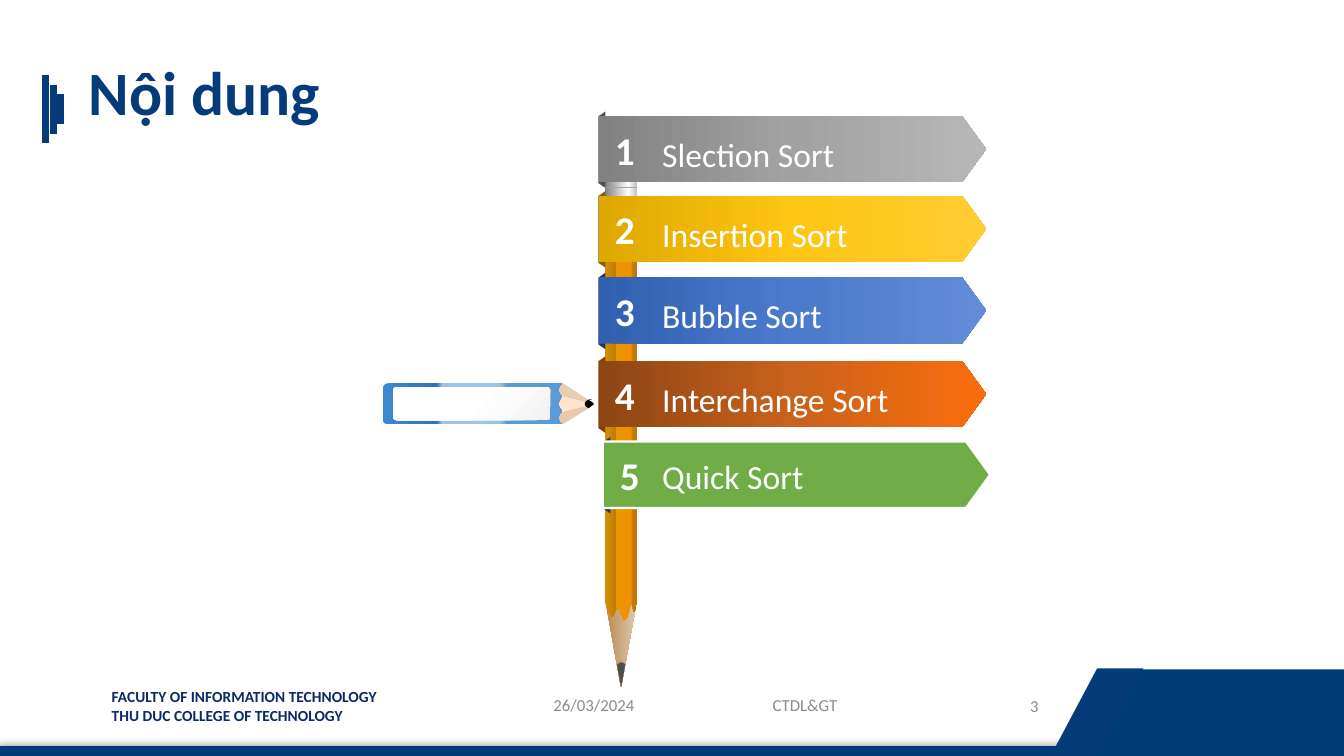
import pptx
import pptx.dml.color
import pptx.enum.shapes
import pptx.enum.text
import pptx.oxml
import pptx.oxml.ns
import pptx.util

PX = 9144  # one px is a hundredth of an inch
FONT = "Calibri"
C = {"navy": "063B7A", "band": "003B7A", "faculty": "092A67", "grey": "8C8C8C",
     "white": "FFFFFF", "green": "70AD47", "ring": "A6A6A6", "black": "000000",
     "lead": "4C504C", "wood_top": "EACCB0", "wood_mid": "FFE3CD", "wood_low": "EBC8AC",
     "fold_grey": "525252", "fold_gold": "806000", "fold_blue": "203864",
     "fold_rust": "843C0B"}
# Gradients: clockwise angle, then (percent, colour) stops
GRADIENTS = {
    "grey": (0, [(0, "818181"), (50, "A2A2A2"), (100, "B7B7B7")]),
    "gold": (0, [(0, "DFA800"), (50, "FFC513"), (100, "FFCD33")]),
    "blue": (0, [(0, "3260B1"), (50, "4C7ACC"), (100, "628CD7")]),
    "rust": (0, [(0, "8D4514"), (50, "C9621C"), (100, "FB6D0C")]),
    "casing": (0, [(0, "3E89CE"), (30, "2E75B6"), (33, "9DC3E6"), (65, "9DC3E6"),
                   (69, "5B9BD5"), (100, "5B9BD5")]),
    "plate": (225, [(0, "F2F2F2"), (50, "FFFFFF"), (100, "FDFDFD")]),
    "cone": (0, [(0, "B88954"), (100, "E1C9AF")]),
    "barrel": (0, [(0, "D99100"), (33, "BD7C04"), (34, "ED9501"), (82, "EF9100"),
                   (83, "C87B14"), (100, "BC7908")]),
    "ferrule": (180, [(0, "BFBFBF"), (27, "FFFFFF"), (100, "808080")]),
    "eraser": (0, [(16, "B24349"), (52, "FF6E94"), (100, "BF4C73")]),
}
# label, top, fill, fold colour, shift of bar, shift of number, drop of label
TOPICS = [
    ("Slection Sort", 115, "grey", "fold_grey", 0, 0, 13),
    ("Insertion Sort", 194, "gold", "fold_gold", 0, 0, 13),
    ("Bubble Sort", 275, "blue", "fold_blue", 0, 0, 13),
    ("Interchange Sort", 358, "rust", "fold_rust", 0, 0, 13),
    ("Quick Sort", 438, "green", "fold_blue", 4, 5, 9),
]
# Outlines: a pair is a corner, six numbers are a Bezier curve
CASING = [(558, 408), (557, 409), (555, 410, 554, 413, 554, 415),
          (554, 417, 555, 419, 557, 421), (387, 421), (383, 421, 380, 420, 380, 418),
          (380, 384), (380, 382, 383, 380, 387, 380), (558, 380), (557, 381),
          (555, 382, 554, 384, 554, 387), (554, 389, 555, 391, 557, 393), (558, 393),
          (557, 394), (555, 396, 554, 398, 554, 401), (554, 403, 555, 406, 557, 407)]
SMALL_PENCIL = [
    ("wood_top", [(589, 401), (549, 391), (554, 381), (558, 380), (584, 397),
                  (586, 398, 587, 399, 589, 401)]),
    ("wood_low", [(589, 401), (549, 410), (554, 420), (558, 421), (584, 405),
                  (586, 403, 587, 403, 589, 401)]),
    ("wood_mid", [(552, 392), (589, 401), (552, 410)]),
    ("casing", CASING),
]
NIB = [(589, 401), (588, 402, 586, 403, 584, 405), (582, 404),
       (581, 403, 580, 402, 580, 401), (580, 398, 583, 396, 587, 396), (584, 397),
       (586, 398, 588, 399, 589, 401)]
CONE = [(600, 594), (632, 594), (616, 682)]
BARREL = [(600, 202), (632, 202), (632, 593), (632, 602, 630, 605, 629, 607),
          (627, 604, 628, 598, 626, 599), (625, 600, 622, 614, 620, 615),
          (617, 615, 615, 603, 613, 603), (610, 602, 609, 613, 607, 612),
          (604, 609, 601, 602, 600, 597)]
LEAD = [(616, 657), (619, 657, 620, 659, 620, 660), (616, 682), (612, 660),
        (613, 659, 614, 657, 616, 657)]
RINGS = [145, 153, 161, 170, 178, 186, 195]
TITLE_MARKS = [(45, 74, 142), (53, 84, 133), (60, 93, 123)]

# text, box, size, colour, bold, alignment, anchor
TEXTS = [
    ("FACULTY OF INFORMATION TECHNOLOGY\nTHU DUC COLLEGE OF TECHNOLOGY",
     (101, 677, 306, 47), 11, "faculty", True, "LEFT", "TOP"),
    ("3", (924, 680, 116, 40), 12, "grey", False, "RIGHT", "MIDDLE"),
    ("Nội dung", (78, 42, 268, 106), 44, "navy", True, "LEFT", "MIDDLE"),
    ("26/03/2024", (539, 679, 134, 40), 12, "grey", False, "LEFT", "MIDDLE"),
    ("CTDL&GT", (696, 679, 205, 40), 12, "grey", False, "CENTER", "MIDDLE"),
]

SHAPE = pptx.enum.shapes.MSO_SHAPE
NS = pptx.oxml.ns.nsdecls("a")
EFFECTS = pptx.oxml.ns.qn("a:effectLst")

prs = pptx.Presentation()
prs.slide_width, prs.slide_height = 1333 * PX, 750 * PX
shapes = prs.slides.add_slide(prs.slide_layouts[6]).shapes


def rgb(name):
    return pptx.dml.color.RGBColor.from_string(C[name])


def paint(sp, fill):
    """Fill with a flat colour or a named gradient; no line, no shadow."""
    sp.shadow.inherit = False
    sp.line.fill.background()
    if fill in GRADIENTS:
        angle, stops = GRADIENTS[fill]
        gs = "".join(f'<a:gs pos="{at * 1000}"><a:srgbClr val="{color}"/></a:gs>'
                     for at, color in stops)
        geometry = sp._element.spPr.find(pptx.oxml.ns.qn("a:custGeom"))
        if geometry is None:
            geometry = sp._element.spPr.find(pptx.oxml.ns.qn("a:prstGeom"))
        geometry.addnext(pptx.oxml.parse_xml(
            f'<a:gradFill {NS} rotWithShape="1"><a:gsLst>{gs}</a:gsLst>'
            f'<a:lin ang="{angle * 60000}" scaled="0"/></a:gradFill>'))
    else:
        sp.fill.solid()
        sp.fill.fore_color.rgb = rgb(fill)
    return sp


def preset(kind, box, fill, adj=None, rotation=0):
    sp = shapes.add_shape(kind, *(v * PX for v in box))
    if adj is not None:
        sp.adjustments[0] = adj
    sp.rotation = rotation
    return paint(sp, fill)


def outline(steps, fill, pieces=6):
    """Closed outline whose curves are cut into short straight pieces."""
    points = [steps[0]]
    for step in steps[1:]:
        if len(step) == 2:
            points.append(step)
            continue
        p0, p1, p2, p3 = points[-1], step[:2], step[2:4], step[4:]
        for i in range(1, pieces + 1):
            t = i / pieces
            u = 1 - t
            points.append(tuple(
                u**3 * a + 3 * u * u * t * b + 3 * u * t * t * c + t**3 * d
                for a, b, c, d in zip(p0, p1, p2, p3)))
    points = [(round(x * PX), round(y * PX)) for x, y in points]
    builder = shapes.build_freeform(*points[0])
    builder.add_line_segments(points[1:], close=True)
    paint(builder.convert_to_shape(), fill)


def line(x1, y1, x2, y2, color, width):
    cn = shapes.add_connector(pptx.enum.shapes.MSO_CONNECTOR.STRAIGHT,
                              x1 * PX, y1 * PX, x2 * PX, y2 * PX)
    cn.line.color.rgb = rgb(color)
    cn.line.width = pptx.util.Pt(width)
    cn._element.spPr.append(pptx.oxml.parse_xml(f"<a:effectLst {NS}/>"))


def text(words, box, size, color, bold=False, align="LEFT", anchor="TOP", wrap=True):
    tf = shapes.add_textbox(*(v * PX for v in box)).text_frame
    tf.word_wrap = wrap
    tf.vertical_anchor = pptx.enum.text.MSO_ANCHOR[anchor]
    tf.text = words
    for p in tf.paragraphs:
        p.alignment = pptx.enum.text.PP_ALIGN[align]
        if size == 44:
            p.line_spacing = 0.9
        for r in p.runs:
            r.font.name, r.font.size, r.font.bold = FONT, pptx.util.Pt(size), bold
            r.font.color.rgb = rgb(color)


# Footer band and title marks
band = preset(SHAPE.RECTANGLE, (0, 741, 1334, 8), "band")
band.line.color.rgb = rgb("band")
band.line.width = pptx.util.Pt(1)
band._element.spPr.find(EFFECTS).append(pptx.oxml.parse_xml(
    f'<a:outerShdw {NS} blurRad="50800" dist="25400" dir="16200000" rotWithShape="0">'
    '<a:srgbClr val="000000"><a:alpha val="40000"/></a:srgbClr></a:outerShdw>'))
preset(SHAPE.RECTANGLE, (1092, 664, 241, 86), "band")
preset(SHAPE.PARALLELOGRAM, (1042, 663, 92, 87), "navy", 0.531)
for x, top, bottom in TITLE_MARKS:
    line(x, top, x, bottom, "navy", 4.5)

# Small pencil pointing at the list
for fill, steps in SMALL_PENCIL:
    outline(steps, fill)
preset(SHAPE.ROUNDED_RECTANGLE, (390, 384, 156, 33), "plate", 0.106)
outline(NIB, "black")

# Upright pencil
outline(CONE, "cone")
outline(BARREL, "barrel")
preset(SHAPE.RECTANGLE, (600, 137, 32, 65), "ferrule")
preset(SHAPE.RECTANGLE, (604, 115, 25, 22), "eraser")
outline(LEAD, "lead")
for y in RINGS:
    line(600, y, 632, y, "ring", 0.5)

# Signs on the pencil
for number, (label, top, fill, fold, bar_dx, number_dx, drop) in enumerate(TOPICS, 1):
    preset(SHAPE.TRAPEZOID, (559 + number_dx, top + 30, 76, 7), fold, 0.698, 270)
    bar = preset(SHAPE.PENTAGON, (594 + bar_dx, top, 384, 66), fill, 0.363)
    if fill == "green":
        bar.line.color.rgb = rgb("white")
        bar.line.width = pptx.util.Pt(1.5)
    text(str(number), (600 + number_dx, top + 5, 42, 57), 28, "white", True, wrap=False)
    text(label, (647, top + drop, 250, 50), 24, "white", wrap=False)

for entry in TEXTS:
    text(*entry)

prs.save("out.pptx")
